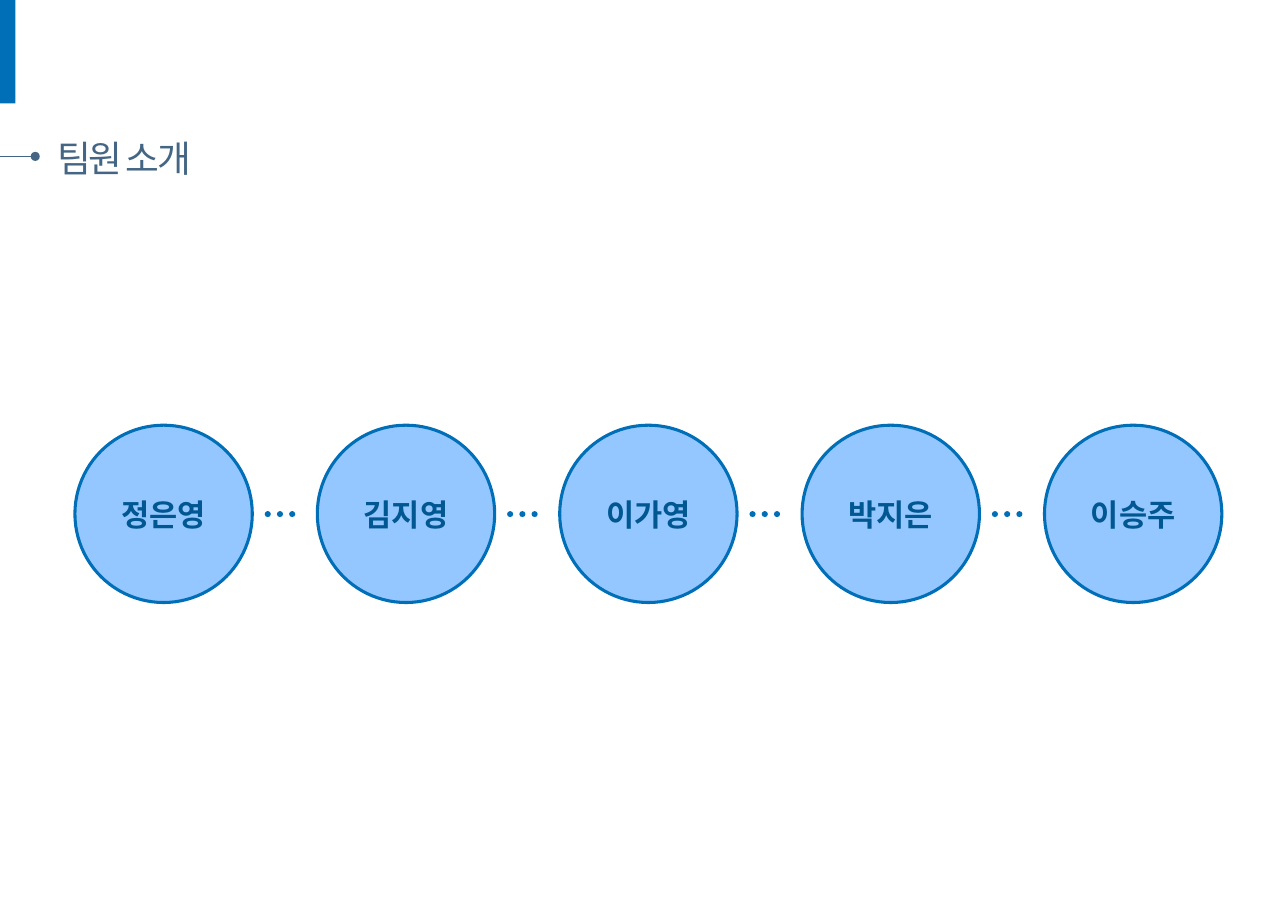
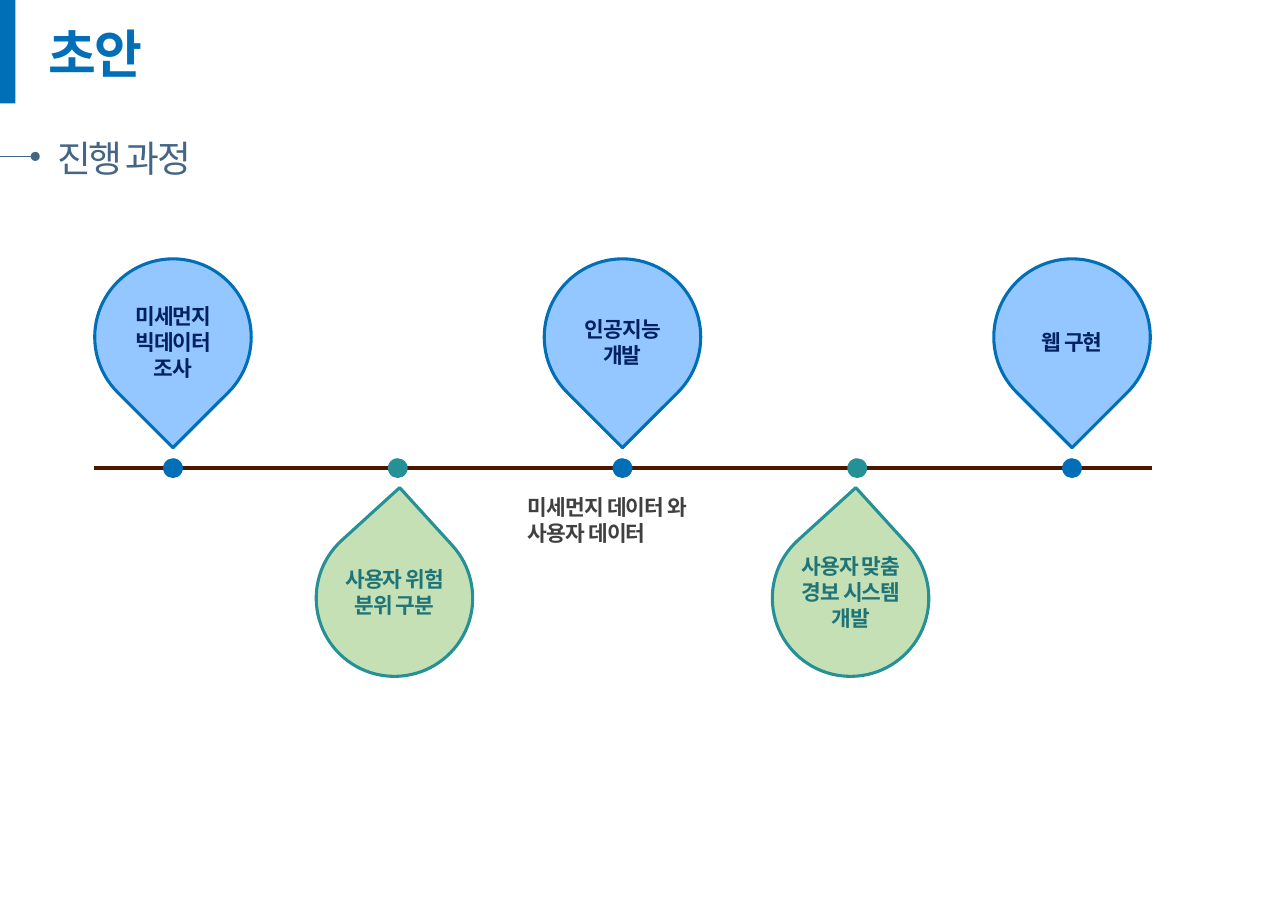
from lxml import etree
from pptx import Presentation
from pptx import util as u
from pptx.dml.color import RGBColor
from pptx.enum import shapes, text
from pptx.oxml.ns import qn

BLUE = RGBColor(0x01, 0x6F, 0xB8)
SKY = RGBColor(0x94, 0xC7, 0xFF)
DEEP = RGBColor(0x01, 0x57, 0x91)
NAVY = RGBColor(0x00, 0x20, 0x60)
SLATE = RGBColor(0x44, 0x66, 0x84)
TEAL = RGBColor(0x25, 0x90, 0x95)
PINE = RGBColor(0x1E, 0x74, 0x78)
LEAF = RGBColor(0xC5, 0xE0, 0xB4)
BROWN = RGBColor(0x4C, 0x16, 0x00)
GREY = RGBColor(0x40, 0x40, 0x40)
FONT = "Noto Sans CJK KR"
GRID = u.Inches(0.1)  # square grid: one column = one row = 0.1 inch
OVAL, DROP = shapes.MSO_SHAPE.OVAL, shapes.MSO_SHAPE.TEAR
LEFT, CENTER = text.PP_ALIGN.LEFT, text.PP_ALIGN.CENTER


def add_box(s, kind, x, y, w, h, fill=None, line=None):
    """Place a shape, or a text box when kind is None, in grid units."""
    at = [int(n * GRID) for n in (x, y, w, h)]
    if kind is None:
        return s.shapes.add_textbox(*at)
    sp = s.shapes.add_shape(kind, *at)
    sp.shadow.inherit = False
    sp.fill.solid()
    sp.fill.fore_color.rgb = fill
    if line is None:
        sp.line.fill.background()
    else:
        sp.line.color.rgb = line
        sp.line.width = u.Pt(2)
    return sp


def write(sp, words, size, color, bold=True, spc=0, align=CENTER, wrap=True):
    tf = sp.text_frame
    tf.text = words
    tf.word_wrap = wrap
    tf.vertical_anchor = text.MSO_ANCHOR.MIDDLE
    p = tf.paragraphs[0]
    p.alignment = align
    p.space_before = u.Pt(1.7)
    r = p.runs[0]
    r.font.name, r.font.size, r.font.bold = FONT, u.Pt(size), bold
    r.font.color.rgb = color
    rpr = r.font._element
    rpr.set("spc", str(int(spc * 100)))
    etree.SubElement(rpr, qn("a:ea"), typeface=FONT)
    return tf


prs = Presentation()
prs.slide_width, prs.slide_height = u.Inches(11.69), u.Inches(8.27)
team, process = [prs.slides.add_slide(prs.slide_layouts[6]) for _ in range(2)]

# Shared band and subtitle
for s, subtitle in ((team, "팀원 소개"), (process, "진행 과정")):
    add_box(s, shapes.MSO_SHAPE.RECTANGLE, 0, 0, 1.4, 9.4, BLUE)
    sp = add_box(s, None, 4.2, 11.8, 15.6, 5)
    tf = write(sp, subtitle, 24, SLATE, False, -1.5, LEFT, False)
    tf.auto_size = text.MSO_AUTO_SIZE.SHAPE_TO_FIT_TEXT

# Lines: slide, from x, to x, y, colour, points, ending or dash
STEP, CIRCLE = 22, 16.1
lines = [(s, 0, 3.2, 14.2, SLATE, 0.5, "oval") for s in (team, process)]
lines += [(team, 24.3 + i * STEP, 27.4 + i * STEP, 46.7, BLUE, 4, "dots") for i in range(4)]
lines.append((process, 8.5, 104.6, 42.5, BROWN, 2.25, None))
for s, x1, x2, y, color, points, detail in lines:
    at = [int(n * GRID) for n in (x1, y, x2, y)]
    cx = s.shapes.add_connector(shapes.MSO_CONNECTOR.STRAIGHT, *at)
    cx.line.color.rgb = color
    cx.line.width = u.Pt(points)
    ln = cx.line._get_or_add_ln()
    if detail == "dots":
        ln.set("cap", "rnd")
        etree.SubElement(ln, qn("a:prstDash"), val="sysDot")
    elif detail:
        etree.SubElement(ln, qn("a:tailEnd"), type=detail)
    etree.SubElement(cx._element.spPr, qn("a:effectLst"))

# Team members
for i, name in enumerate(("정은영", "김지영", "이가영", "박지은", "이승주")):
    sp = add_box(team, OVAL, 6.8 + i * STEP, 38.6, CIRCLE, CIRCLE, SKY, BLUE)
    tf = write(sp, name, 20, DEEP)
    tf.margin_left = tf.margin_right = tf.margin_top = tf.margin_bottom = 0

# Process title
sp = add_box(process, None, 3.4, 2, 11.3, 6.2)
tf = write(sp, "초안", 34, BLUE, spc=-1.1, align=LEFT, wrap=False)
tf.paragraphs[0].line_spacing = 0.9
tf.paragraphs[0].space_before = u.Pt(0)

# Process stages: drop centre, dot centre, label; odd stages hang below the line
stages = (
    (15.7, 15.7, "미세먼지 빅데이터 조사"),
    (35.8, 36.1, "사용자 위험 분위 구분"),
    (56.5, 56.5, "인공지능 개발"),
    (77.2, 77.8, "사용자 맞춤 경보 시스템 개발"),
    (97.3, 97.3, "웹 구현"),
)
looks = (
    (SKY, BLUE, NAVY, 135, 23.5, 27.4),
    (LEAF, TEAL, PINE, 317.7, 47.2, 50.1),
)
DROP_SIZE, DOT = 14.2, 1.8
for i, (x, dot_x, label) in enumerate(stages):
    fill, line, ink, angle, drop_y, label_y = looks[i % 2]
    sp = add_box(process, DROP, x - DROP_SIZE / 2, drop_y, DROP_SIZE, DROP_SIZE, fill, line)
    sp.rotation = angle
    add_box(process, OVAL, dot_x - DOT / 2, 42.5 - DOT / 2, DOT, DOT, line)
    write(add_box(process, None, x - 6.2, label_y, 12.4, 7.3), label, 14, ink, spc=-0.6)

# Note under the middle stage
sp = add_box(process, None, 46.9, 45.2, 21.8, 4)
write(sp, "미세먼지 데이터 와 사용자 데이터", 14, GREY, spc=-0.6, align=LEFT)

prs.save("out.pptx")
